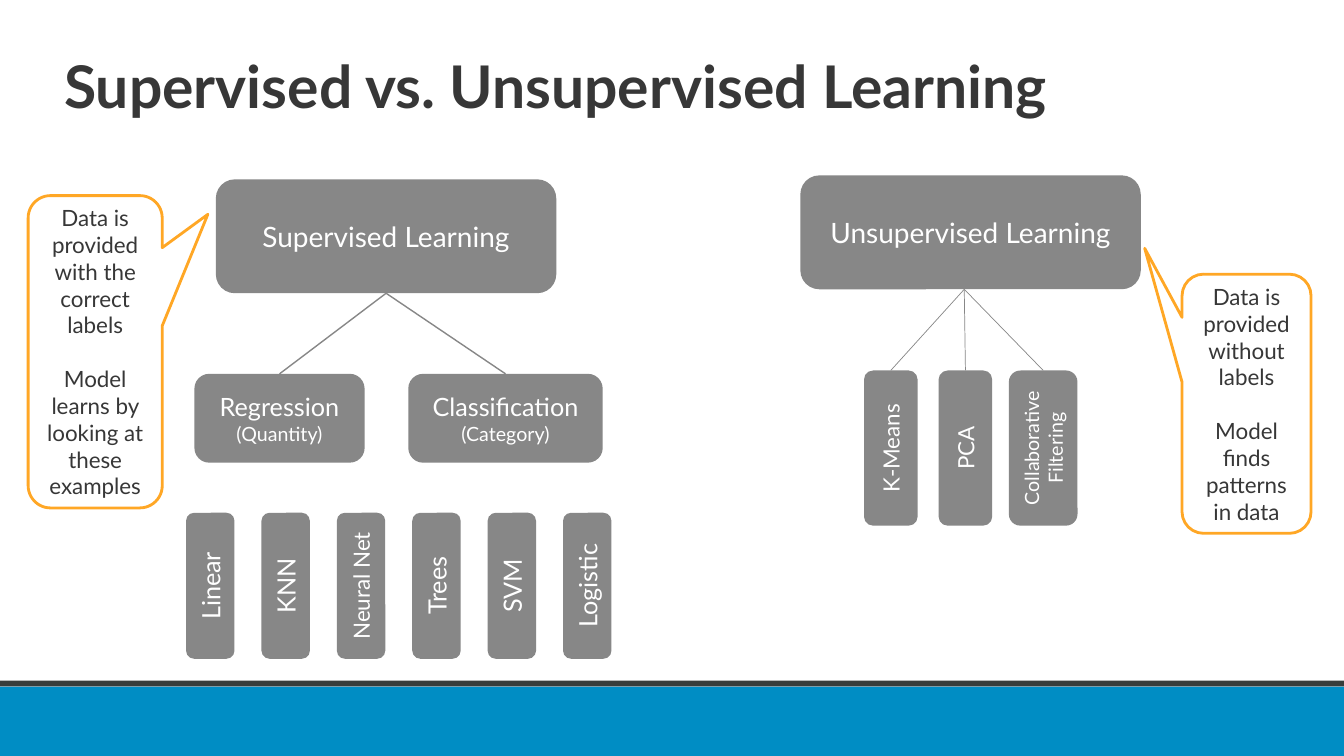
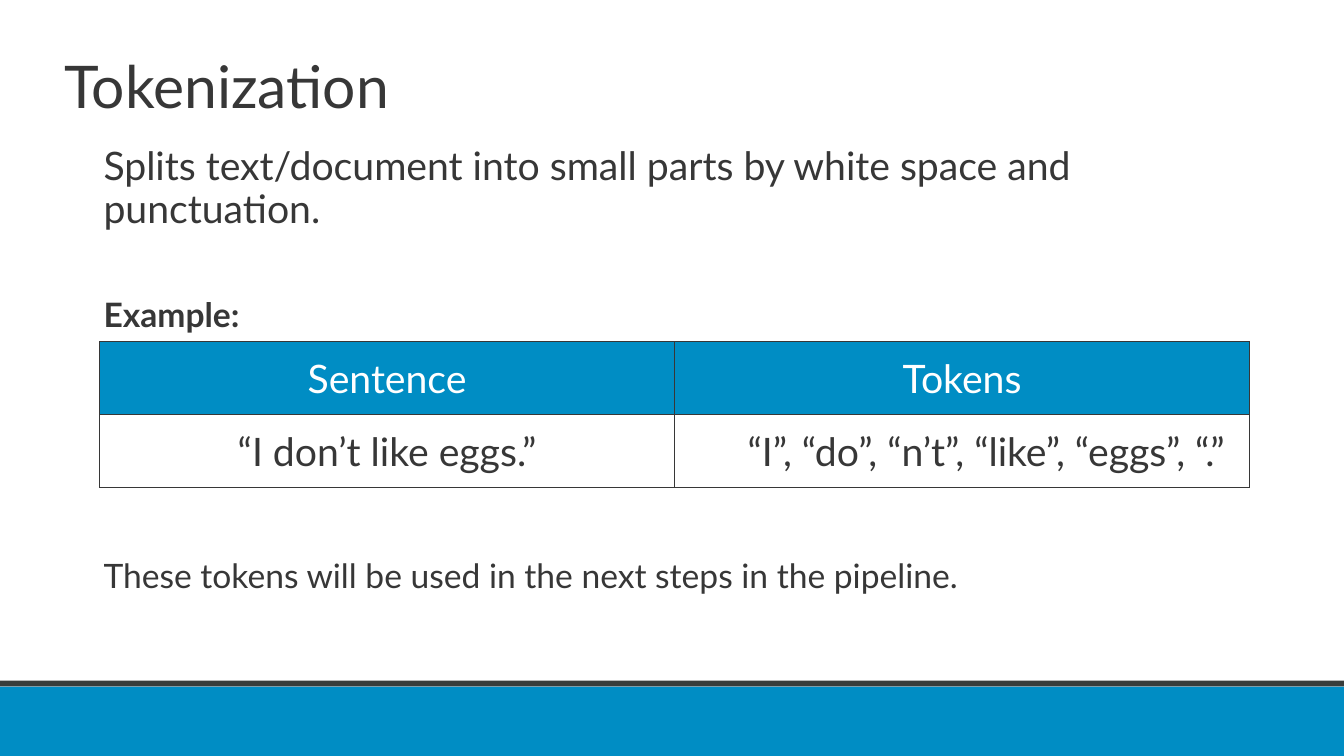
from lxml.etree import SubElement
from pptx import Presentation
from pptx.dml.color import RGBColor
from pptx.enum.shapes import MSO_CONNECTOR, MSO_SHAPE as Preset
from pptx.enum.text import MSO_ANCHOR as Anchor, PP_ALIGN as Align
from pptx.oxml import parse_xml
from pptx.oxml.ns import nsdecls, qn
from pptx.util import Cm, Pt

COLORS = {
    "text": "373737",
    "white": "FFFFFF",
    "gray": "878787",
    "blue": "008DC4",
    "stripe": "383D3B",
    "orange": "FFA725",
}
RGB = {name: RGBColor.from_string(value) for name, value in COLORS.items()}
FONT = "Lato"


def write(frame, lines, color="text", align=Align.LEFT, anchor=Anchor.TOP, spacing=None):
    """Fill a text frame; each line is (text, size, bold, space before)."""
    frame.word_wrap = True
    frame.vertical_anchor = anchor
    for index, (text, size, bold, before) in enumerate(lines):
        paragraph = frame.add_paragraph() if index else frame.paragraphs[0]
        paragraph.alignment = align
        paragraph.line_spacing = spacing
        if before:
            paragraph.space_before = Pt(before)
        run = paragraph.add_run()
        run.text = text
        run.font.name = FONT
        run.font.size = Pt(size)
        run.font.bold = bold
        run.font.color.rgb = RGB[color]


def add_block(slide, preset, left, top, width, height, fill, lines=(), color="white"):
    """Add a flat, unlined preset shape with centred text."""
    shape = slide.shapes.add_shape(preset, Cm(left), Cm(top), Cm(width), Cm(height))
    shape.shadow.inherit = False
    shape.fill.solid()
    shape.fill.fore_color.rgb = RGB[fill]
    shape.line.fill.background()
    write(shape.text_frame, lines, color, Align.CENTER, Anchor.MIDDLE)
    return shape


presentation = Presentation()
presentation.slide_width = Cm(33.87)
presentation.slide_height = Cm(19.05)

# Shared frame: footer bands and title
slides = []
for title, bold in [("Supervised vs. Unsupervised Learning", True), ("Tokenization", False)]:
    slide = presentation.slides.add_slide(presentation.slide_layouts[6])
    add_block(slide, Preset.RECTANGLE, 0, 17.3, 33.87, 1.75, "blue")
    add_block(slide, Preset.RECTANGLE, 0, 17.15, 33.87, 0.15, "stripe")
    title_box = slide.shapes.add_textbox(Cm(1.37), Cm(1.32), Cm(29.21), Cm(2.77))
    write(title_box.text_frame, [(title, 42, bold, 0)], spacing=0.9)
    slides.append(slide)
comparison_slide, token_slide = slides

# Slide 1: upright boxes of both trees
upright_boxes = {}
for left, top, width, height, lines in [
    (5.44, 4.52, 8.58, 2.87, [("Supervised Learning", 20)]),
    (20.17, 4.42, 8.58, 2.87, [("Unsupervised Learning", 20)]),
    (4.9, 9.42, 4.29, 2.24, [("Regression", 18), ("(Quantity)", 14)]),
    (10.29, 9.42, 4.9, 2.24, [("Classification", 18), ("(Category)", 14)]),
]:
    upright_boxes[lines[0][0]] = add_block(
        comparison_slide, Preset.ROUNDED_RECTANGLE, left, top, width, height, "gray",
        [(text, size, False, 0) for text, size in lines])

# Algorithm boxes, turned to read upwards: centre x, centre y, length, thickness
algorithms = [
    (name, size, 5.3 + 1.9 * index, 14.76, 3.68, 1.22)
    for index, (name, size) in enumerate([
        ("Linear", 18), ("KNN", 18), ("Neural Net", 16),
        ("Trees", 18), ("SVM", 18), ("Logistic", 18)])
] + [
    ("K-Means", 16, 22.45, 11.29, 3.91, 1.35),
    ("PCA", 16, 24.33, 11.29, 3.91, 1.35),
    ("Collaborative Filtering", 14, 26.29, 11.29, 3.91, 1.73),
]
turned_boxes = {}
for name, size, center_x, center_y, length, thickness in algorithms:
    box = add_block(comparison_slide, Preset.ROUNDED_RECTANGLE,
                    center_x - length / 2, center_y - thickness / 2, length, thickness,
                    "gray", [(name, size, False, 0)])
    box.rotation = 270
    turned_boxes[name] = box

# Branches; the right side of a turned box faces up
for parent, child, width in [
    ("Supervised Learning", "Regression", 1),
    ("Supervised Learning", "Classification", 1),
    ("Unsupervised Learning", "K-Means", 0.5),
    ("Unsupervised Learning", "PCA", 0.5),
    ("Unsupervised Learning", "Collaborative Filtering", 0.5),
]:
    branch = comparison_slide.shapes.add_connector(
        MSO_CONNECTOR.STRAIGHT, Cm(24.3), Cm(7.29), Cm(24.3), Cm(9.34))
    if child in upright_boxes:
        branch.begin_connect(upright_boxes[parent], 2)
        branch.end_connect(upright_boxes[child], 0)
    else:
        box = turned_boxes[child]
        branch.end_connect(box, 3)
        branch.end_x = box.left + box.width // 2
        branch.end_y = box.top + box.height // 2 - box.width // 2
    branch.line.color.rgb = RGB["gray"]
    branch.line.width = Pt(width)
    SubElement(branch._element.spPr, qn("a:effectLst"))

# Callouts
for left, top, width, height, tip, paragraphs in [
    (0.71, 4.93, 3.38, 7.87, (0.84, -0.44),
     ("Data is provided with the correct labels", "Model learns by looking at these examples")),
    (29.79, 6.91, 3.25, 6.53, (-0.79, -0.6),
     ("Data is provided without labels", "Model finds patterns in data")),
]:
    callout = add_block(comparison_slide, Preset.ROUNDED_RECTANGULAR_CALLOUT,
                        left, top, width, height, "white",
                        [(text, 16, False, 19 * index) for index, text in enumerate(paragraphs)],
                        "text")
    callout.adjustments[0], callout.adjustments[1] = tip
    callout.line.color.rgb = RGB["orange"]
    callout.line.width = Pt(2)

# Slide 2: body text, with room for the table
body = token_slide.shapes.add_textbox(Cm(2.36), Cm(3.58), Cm(30.12), Cm(13.54))
write(body.text_frame, [
    ("Splits text/document into small parts by white space and punctuation.", 28, False, 0),
    ("Example:", 24, True, 48),
    ("These tokens will be used in the next steps in the pipeline.", 24, False, 160),
], spacing=0.9)

# Token table
rows = [("Sentence", "Tokens"),
        ("“I don’t like eggs.”", "“I”, “do”, “n’t”, “like”, “eggs”, “.”")]
table = token_slide.shapes.add_table(2, 2, Cm(2.51), Cm(8.61), Cm(28.98), Cm(3.68)).table
table.horz_banding = False
table.first_row = False
for row_index, row in enumerate(rows):
    for column_index, text in enumerate(row):
        cell = table.cell(row_index, column_index)
        is_header = row_index == 0
        write(cell.text_frame, [(text, 28, False, 0)],
              "white" if is_header else "text", Align.CENTER)
        cell.vertical_anchor = Anchor.MIDDLE
        cell.fill.solid()
        cell.fill.fore_color.rgb = RGB["blue" if is_header else "white"]
        properties = cell._tc.get_or_add_tcPr()
        for position, side in enumerate(("lnL", "lnR", "lnT", "lnB")):
            properties.insert(position, parse_xml(
                f'<a:{side} {nsdecls("a")} w="{Pt(1)}"><a:solidFill>'
                f'<a:srgbClr val="{COLORS["text"]}"/></a:solidFill></a:{side}>'))
table.cell(1, 1).margin_left = Cm(1.47)

presentation.save("out.pptx")
